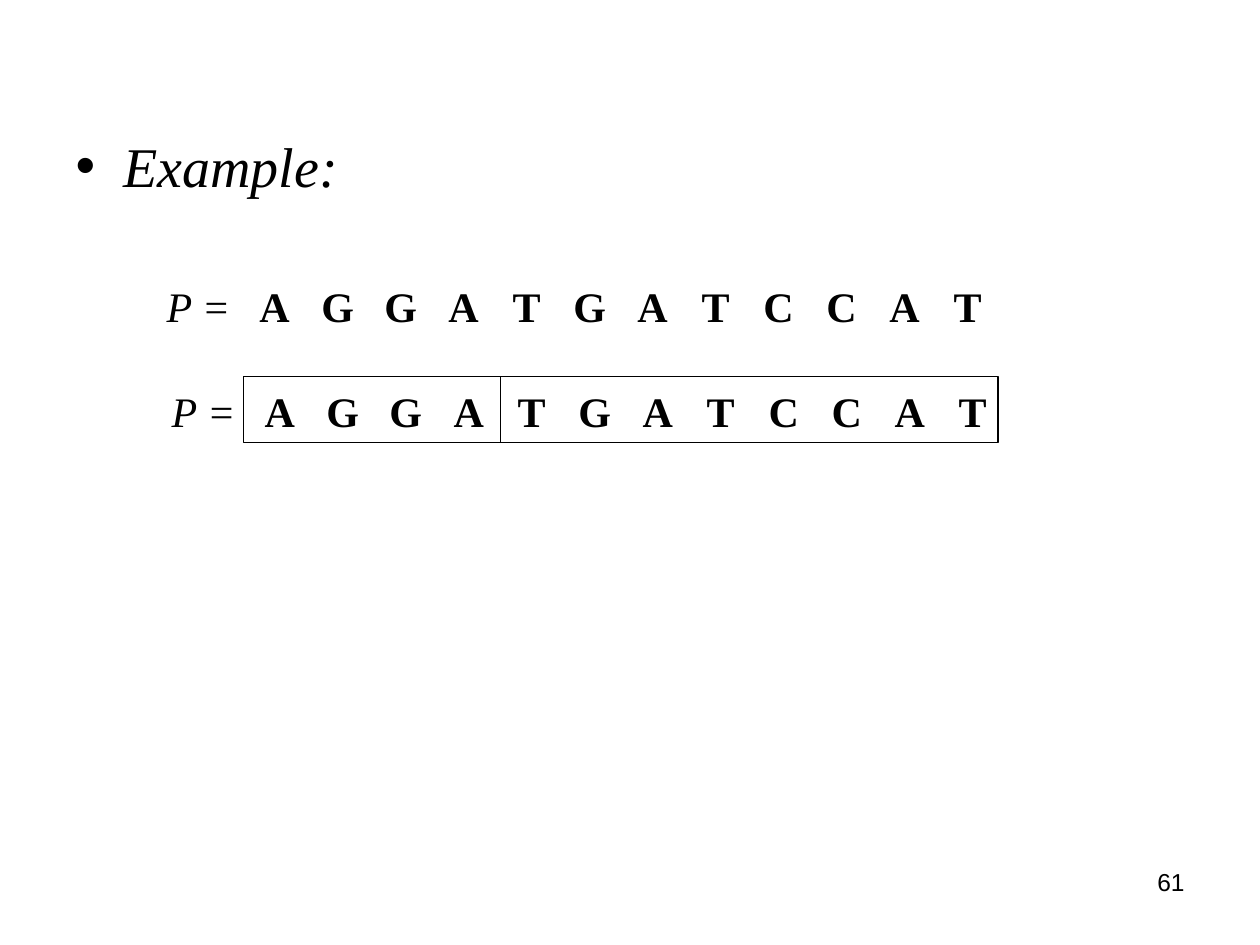
"""Build the slide that splits the pattern P into two parts."""
from lxml.etree import SubElement as Sub
from pptx import Presentation
from pptx.dml.color import RGBColor as Rgb
from pptx.enum.shapes import MSO_CONNECTOR as Link, MSO_SHAPE as Form
from pptx.enum.text import MSO_ANCHOR as Anchor, MSO_AUTO_SIZE as Fit, PP_ALIGN as Align
from pptx.oxml.ns import qn
from pptx.util import Inches, Pt

COL = ROW = Inches(0.5)
BLACK = "000000"
SERIF = "Times New Roman"


def paint(target, color):
    target.fill.solid()
    target.fill.fore_color.rgb = Rgb.from_string(color)


def write(frame, text, size, face=SERIF, align=Align.LEFT, bold=False, italic=False):
    frame.word_wrap = True
    frame.vertical_anchor = Anchor.TOP
    para = frame.paragraphs[0]
    para.alignment = align
    para.space_before = Pt(0)
    run = para.add_run()
    run.text = text
    font = run.font
    font.name, font.size, font.bold, font.italic = face, Pt(size), bold, italic
    paint(font, BLACK)
    return para


deck = Presentation()
deck.slide_width, deck.slide_height = 20 * COL, 15 * ROW
slide = deck.slides.add_slide(deck.slide_layouts[1])
shapes = slide.shapes
title = shapes.title.element
title.getparent().remove(title)

body = slide.placeholders[1]
body.left, body.top = COL, int(1.98 * ROW)
body.width, body.height = 18 * COL, int(11.42 * ROW)
para = write(body.text_frame, "Example:", 32, italic=True)
props = para._p.get_or_add_pPr()
props.set("marL", str(Inches(0.38)))
props.set("indent", str(Inches(-0.38)))
Sub(props, qn("a:buChar")).set("char", "•")

for left, top in ((2.36, 4.36), (2.44, 6.02)):
    cells = [("P =", left, 1.58)]
    cells += [(base, left + 1.5 + i, 1) for i, base in enumerate("AGGATGATCCAT")]
    for text, x, wide in cells:
        box = shapes.add_textbox(int(x * COL), int(top * ROW), int(wide * COL), ROW)
        label = text == "P ="
        write(box.text_frame, text, 24, align=Align.CENTER, bold=not label, italic=label)
        box.text_frame.auto_size = Fit.SHAPE_TO_FIT_TEXT

frame = shapes.add_shape(Form.RECTANGLE, int(3.86 * COL), int(5.98 * ROW), int(11.98 * COL), int(1.04 * ROW))
frame.shadow.inherit = False
frame.fill.background()
split = shapes.add_connector(Link.STRAIGHT, int(7.95 * COL), frame.top, int(7.95 * COL), frame.top + frame.height)
Sub(split.element.spPr, qn("a:effectLst"))
for edge in (frame, split):
    paint(edge.line, BLACK)
    edge.line.width = Pt(0.75)

page = shapes.add_textbox(int(14.34 * COL), int(13.66 * ROW), int(4.66 * COL), int(1.04 * ROW))
write(page.text_frame, "61", 14, "Arial", Align.RIGHT)

deck.save("out.pptx")
